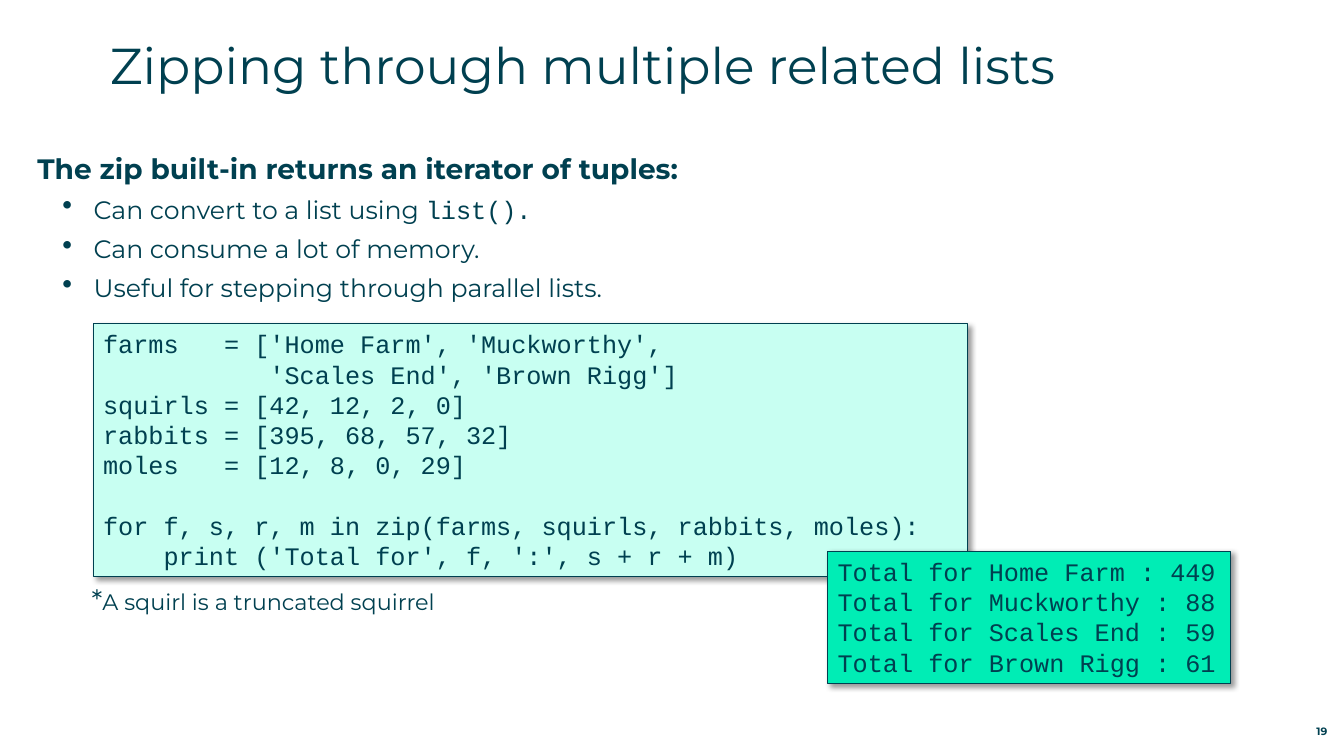
"""Build a slide on stepping through related lists with zip."""
from lxml.etree import SubElement
from pptx import Presentation
from pptx.dml.color import RGBColor
from pptx.enum.shapes import MSO_SHAPE
from pptx.enum.text import MSO_ANCHOR, PP_ALIGN
from pptx.oxml.ns import qn
from pptx.util import Cm, Pt

SANS, MONO, INK = "Montserrat", "Courier New", "004050"


def rgb(color):
    return RGBColor.from_string(color)


def add_run(p, text, size, font=SANS, bold=False):
    r = p.add_run()
    r.text = text
    r.font.size = Pt(size)
    r.font.name = font
    r.font.bold = bold
    r.font.color.rgb = rgb(INK)


prs = Presentation()
prs.slide_width, prs.slide_height = Cm(33.87), Cm(19.05)
s = prs.slides.add_slide(prs.slide_layouts[6])

boxes = {}
for name, left, top, width, height, inset in [
    ("title", 2.77, 0.86, 30, 2.24, 0),
    ("body", 0.94, 3.81, 31.98, 4.2, 0),
    ("footnote", 2.06, 14.55, 9.6, 1.12, 0.25),
    ("number", 31.27, 18.08, 2.18, 0.51, 0),
]:
    sp = s.shapes.add_textbox(Cm(left), Cm(top), Cm(width), Cm(height))
    tf = sp.text_frame
    tf.word_wrap = True
    tf.margin_left = tf.margin_right = Cm(inset)
    tf.margin_top = tf.margin_bottom = Cm(inset / 2)
    boxes[name] = tf

add_run(boxes["title"].paragraphs[0], "Zipping through multiple related lists", 36)

p = boxes["body"].paragraphs[0]
p.space_after = Pt(6.5)
add_run(p, "The zip built-in returns an iterator of tuples:", 20, bold=True)
for runs in [
    [("Can convert to a list using ", SANS), ("list().", MONO)],
    [("Can consume a lot of memory.", SANS)],
    [("Useful for stepping through parallel lists.", SANS)],
]:
    p = boxes["body"].add_paragraph()
    p.level = 1
    p.space_after = Pt(6.5)
    pPr = p._p.get_or_add_pPr()
    pPr.set("marL", str(Cm(1.42)))
    pPr.set("indent", str(Cm(-0.79)))
    SubElement(pPr, qn("a:buSzPct"), val="115000")
    SubElement(pPr, qn("a:buChar"), char="•")
    for text, font in runs:
        add_run(p, text, 18, font)

code = [
    "farms   = ['Home Farm', 'Muckworthy',",
    "           'Scales End', 'Brown Rigg']",
    "squirls = [42, 12, 2, 0]",
    "rabbits = [395, 68, 57, 32]",
    "moles   = [12, 8, 0, 29]",
    "for f, s, r, m in zip(farms, squirls, rabbits, moles):",
    "    print ('Total for', f, ':', s + r + m)",
]
totals = [
    "Total for Home Farm : 449",
    "Total for Muckworthy : 88",
    "Total for Scales End : 59",
    "Total for Brown Rigg : 61",
]
for lines, fill, left, top, width, height in [
    (code, "C8FFF2", 2.35, 8.16, 22.03, 6.38),
    (totals, "00EDB5", 20.86, 13.89, 10.14, 3.33),
]:
    sp = s.shapes.add_shape(MSO_SHAPE.RECTANGLE, Cm(left), Cm(top), Cm(width), Cm(height))
    sp.fill.solid()
    sp.fill.fore_color.rgb = rgb(fill)
    sp.line.color.rgb = rgb(INK)
    sp.line.width = Pt(0.75)
    sp.shadow.inherit = False
    effects = sp._element.spPr.find(qn("a:effectLst"))
    shadow = SubElement(effects, qn("a:outerShdw"), blurRad=str(Pt(4)), dist=str(Pt(3)),
                        dir="2700000", algn="tl", rotWithShape="0")
    black = SubElement(shadow, qn("a:srgbClr"), val="000000")
    SubElement(black, qn("a:alpha"), val="40000")
    tf = sp.text_frame
    tf.word_wrap = True
    tf.vertical_anchor = MSO_ANCHOR.TOP
    for i, line in enumerate(lines):
        p = tf.add_paragraph() if i else tf.paragraphs[0]
        p.alignment = PP_ALIGN.LEFT
        p.line_spacing = Pt(21.6)
        if line.startswith("for "):
            p.space_before = Pt(21.6)
        add_run(p, line, 18, MONO)

p = boxes["footnote"].paragraphs[0]
add_run(p, "*", 20)
add_run(p, "A squirl is a truncated squirrel", 16)

boxes["number"].vertical_anchor = MSO_ANCHOR.BOTTOM
p = boxes["number"].paragraphs[0]
p.alignment = PP_ALIGN.RIGHT
add_run(p, "19", 7.6, bold=True)

prs.save("out.pptx")
